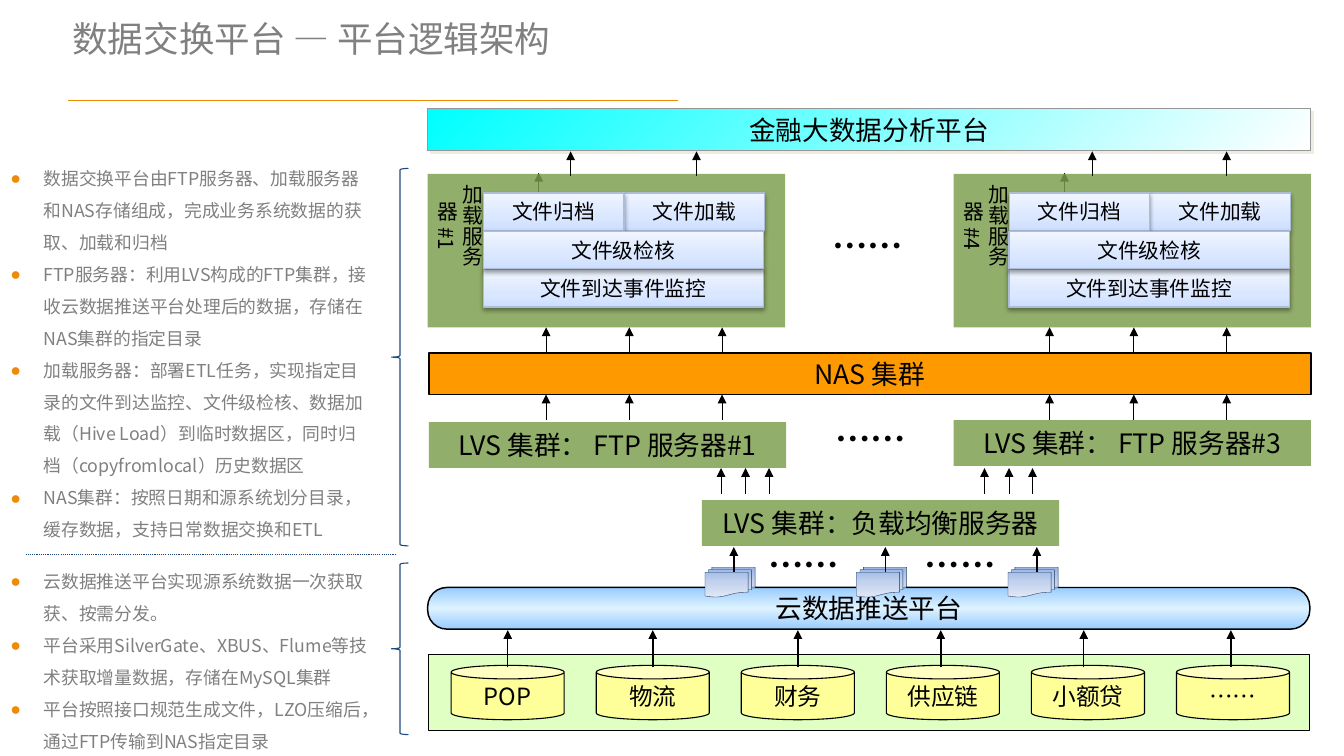
from lxml.etree import SubElement
from pptx import Presentation
from pptx.dml.color import RGBColor
from pptx.enum.dml import MSO_LINE
from pptx.enum.shapes import MSO_CONNECTOR, MSO_SHAPE as SHAPE
from pptx.enum.text import MSO_ANCHOR as ANCHOR, PP_ALIGN as ALIGN
from pptx.oxml.ns import qn
from pptx.util import Inches, Pt

FONT = "Noto Sans CJK SC"
BLACK, GRAY, ORANGE, NAVY = "000000", "808080", "EE8A04", "1F497D"
GREEN = "7D9E4D"
SKY = [(0, "99CCFF"), (50, "DDF2FF"), (100, "99CCFF")]
PAPER = [(0, "9AB5E4"), (50, "C2D1ED"), (100, "E1E8F5")]
TILE = [(0, "CCDEFF"), (35, "DAE7FF"), (100, "F0F5FF")]
CYAN = [(0, "00FFFF"), (100, "FFFFFF")]
SERVER_STEP = 4.93

EXCHANGE_NOTES = [
    "数据交换平台由FTP服务器、加载服务器和NAS存储组成，完成业务系统数据的获取、加载和归档",
    "FTP服务器：利用LVS构成的FTP集群，接收云数据推送平台处理后的数据，存储在NAS集群的指定目录",
    "加载服务器：部署ETL任务，实现指定目录的文件到达监控、文件级检核、数据加载"
    "（Hive Load）到临时数据区，同时归档（copyfromlocal）历史数据区",
    "NAS集群：按照日期和源系统划分目录，缓存数据，支持日常数据交换和ETL",
]
PUSH_NOTES = [
    "云数据推送平台实现源系统数据一次获取获、按需分发。",
    "平台采用SilverGate、XBUS、Flume等技术获取增量数据，存储在MySQL集群",
    "平台按照接口规范生成文件，LZO压缩后，通过FTP传输到NAS指定目录",
]
SOURCES = ["POP", "物流", "财务", "供应链", "小额贷", "……"]


def color(value):
    return RGBColor.from_string(value)


def child(parent, tag, **attributes):
    return SubElement(parent, qn(tag), {k: str(v) for k, v in attributes.items()})


def write(para, text, size, ink=BLACK, bold=False):
    span = para.add_run()
    span.text = text
    for name, value in {"name": FONT, "size": Pt(size), "bold": bold}.items():
        setattr(span.font, name, value)
    span.font.color.rgb = color(ink)
    child(span.font._element, "a:ea", typeface=FONT)


def set_frame(box, **formats):
    for name, value in formats.items():
        setattr(box.text_frame, name, value)


def set_gradient(shape, stops, angle):
    shape.fill.gradient()
    shape.fill.gradient_angle = 0
    gradient = shape._element.spPr.find(qn("a:gradFill"))
    stop_list = gradient.find(qn("a:gsLst"))
    for stop in list(stop_list):
        stop_list.remove(stop)
    for position, value in stops:
        stop = child(stop_list, "a:gs", pos=position * 1000)
        child(stop, "a:srgbClr", val=value)
    gradient.find(qn("a:lin")).set("ang", str(angle * 60000))


def set_shadow(shape, value, alpha, blur, distance, angle):
    effects = shape._element.spPr.find(qn("a:effectLst"))
    shadow = child(effects, "a:outerShdw", blurRad=Pt(blur), dist=Pt(distance),
                   dir=angle * 60000, algn="ctr", rotWithShape=0)
    child(child(shadow, "a:srgbClr", val=value), "a:alpha", val=alpha * 1000)


def add_block(page, kind, at, fill=None, line=None, width=0.75, text="", size=18, angle=90):
    shape = page.shapes.add_shape(kind, *map(Inches, at))
    shape.shadow.inherit = False
    if isinstance(fill, list):
        set_gradient(shape, fill, angle)
    elif fill:
        shape.fill.solid()
        shape.fill.fore_color.rgb = color(fill)
    else:
        shape.fill.background()
    if line:
        shape.line.color.rgb = color(line)
        shape.line.width = Pt(width)
    else:
        shape.line.fill.background()
    if text:
        set_frame(shape, vertical_anchor=ANCHOR.MIDDLE, word_wrap=False)
        para = shape.text_frame.paragraphs[0]
        para.alignment = ALIGN.CENTER
        write(para, text, size)
    return shape


def add_green(page, at, text=""):
    shape = add_block(page, SHAPE.RECTANGLE, at, GREEN, text=text)
    fill = shape._element.spPr.find(qn("a:solidFill"))
    child(fill[0], "a:alpha", val=83000)


def add_line(page, start, end, ink=BLACK, width=0.75):
    line = page.shapes.add_connector(MSO_CONNECTOR.STRAIGHT, *map(Inches, start + end))
    line.line.color.rgb = color(ink)
    line.line.width = Pt(width)
    child(line._element.spPr, "a:effectLst")
    return line


def add_arrows(page, columns, bottom, top, width=0.75):
    for x in columns:
        arrow = add_line(page, (x, bottom), (x, top), width=width)
        child(arrow.line._get_or_add_ln(), "a:tailEnd", type="triangle")


def add_label(page, at, text, size, ink=BLACK, bold=False, align=ALIGN.CENTER, **formats):
    box = page.shapes.add_textbox(*map(Inches, at))
    set_frame(box, **{"word_wrap": True, "vertical_anchor": ANCHOR.MIDDLE, **formats})
    para = box.text_frame.paragraphs[0]
    para.alignment = align
    write(para, text, size, ink, bold)
    return box


def add_notes(page, at, notes):
    box = page.shapes.add_textbox(*map(Inches, at))
    set_frame(box, word_wrap=True)
    for index, note in enumerate(notes):
        para = box.text_frame.add_paragraph() if index else box.text_frame.paragraphs[0]
        para.line_spacing = Pt(21.6)
        layout = para._element.get_or_add_pPr()
        layout.set("marL", str(Inches(0.31)))
        layout.set("indent", str(-Inches(0.31)))
        child(child(layout, "a:buClr"), "a:srgbClr", val=ORANGE)
        child(layout, "a:buFont", typeface="Arial")
        child(layout, "a:buChar", char="●")
        write(para, note, 12, GRAY)


def add_load_server(page, left, name):
    add_arrows(page, [left + 1.04], 2.02, 1.62, 1)
    add_green(page, (left, 1.63, 3.35, 1.44))
    label = add_label(page, (left + 0.08, 1.63, 0.44, 1.16), name, 14)
    label.text_frame._txBody.bodyPr.set("vert", "eaVert")
    tiles = [("文件加载", 1.84, 1.81, 1.32), ("文件归档", 0.52, 1.81, 1.32),
             ("文件到达事件监控", 0.52, 2.53, 2.63), ("文件级检核", 0.52, 2.17, 2.63)]
    for text, x, y, width in tiles:
        tile = add_block(page, SHAPE.RECTANGLE, (left + x, y, width, 0.35), TILE,
                         "ADBCD7", text=text, size=14, angle=270)
        set_shadow(tile, BLACK, 38, 3.1, 1.6, 90)


def main():
    deck = Presentation()
    deck.slide_width, deck.slide_height = Inches(12.6), Inches(7.09)
    page = deck.slides.add_slide(deck.slide_layouts[6])

    # Title and rule
    add_label(page, (0.58, 0.16, 8.89, 0.41), "数据交换平台 — 平台逻辑架构", 24, GRAY,
              align=ALIGN.LEFT, vertical_anchor=ANCHOR.TOP, margin_top=0, margin_bottom=0)
    add_line(page, (0.64, 0.94), (6.36, 0.94), ORANGE)

    # Notes with braces
    add_notes(page, (0, 1.42, 3.6, 3.62), EXCHANGE_NOTES)
    add_notes(page, (0, 5.2, 3.63, 1.73), PUSH_NOTES)
    for top, height in [(1.58, 3.54), (5.28, 1.61)]:
        add_block(page, SHAPE.LEFT_BRACE, (3.67, top, 0.16, height), line=NAVY)
    divider = add_line(page, (0.24, 5.2), (3.71, 5.2), NAVY)
    divider.line.dash_style = MSO_LINE.ROUND_DOT

    # Source systems
    add_block(page, SHAPE.RECTANGLE, (4.02, 6.14, 8.26, 0.71), "E0FFC2", BLACK)
    for index, source in enumerate(SOURCES):
        add_block(page, SHAPE.CAN, (4.23 + 1.36 * index, 6.24, 1.06, 0.51),
                  "FFFF99", BLACK, text=source, size=16)

    # Platform bars
    analysis = add_block(page, SHAPE.RECTANGLE, (4.01, 1.02, 8.28, 0.39), CYAN, "969696",
                         text="金融大数据分析平台", angle=45)
    set_shadow(analysis, "EEECE1", 100, 0, 2.8, 45)
    add_block(page, SHAPE.RECTANGLE, (4.02, 3.31, 8.27, 0.39), "FF9900", BLACK, 1, "NAS 集群")
    push = add_block(page, SHAPE.ROUNDED_RECTANGLE, (4.01, 5.51, 8.27, 0.39), SKY, BLACK, 1,
                     "云数据推送平台")
    push.adjustments[0] = 0.46
    add_arrows(page, [4.76, 6.12, 7.48, 8.82, 10.16, 11.54], 6.26, 5.91, 1)

    # Files sent to the load balancer
    for index in range(3):
        left = 6.61 + 1.42 * index
        add_block(page, SHAPE.FLOWCHART_MULTIDOCUMENT, (left, 5.32, 0.47, 0.28),
                  PAPER, "17375E", 0.25)
        add_arrows(page, [left + 0.27], 5.36, 5.13, 1)

    # Load servers
    add_load_server(page, 4.01, "加载服务器 #1")
    add_load_server(page, 4.01 + SERVER_STEP, "加载服务器 #4")
    add_arrows(page, [5.35, 6.53, 10.24, 11.5], 1.65, 1.42)

    # LVS clusters
    add_green(page, (4.02, 3.96, 3.35, 0.43), "LVS 集群： FTP 服务器#1")
    add_green(page, (8.94, 3.94, 3.35, 0.43), "LVS 集群： FTP 服务器#3")
    add_green(page, (6.58, 4.69, 3.35, 0.43), "LVS 集群：负载均衡服务器")
    for bottom, top in [(3.31, 3.07), (3.94, 3.7)]:
        add_arrows(page, [5.12, 5.9, 6.77, 9.84, 10.63, 11.5], bottom, top)
    add_arrows(page, [6.76, 6.99, 7.21, 9.23, 9.46, 9.68], 4.63, 4.39)

    # Ellipses between repeated parts
    for left, top in [(7.48, 2.05), (7.51, 3.86), (6.88, 5.04), (8.35, 5.04)]:
        add_label(page, (left, top, 1.31, 0.5), "……", 24, bold=True)

    deck.save("out.pptx")


if __name__ == "__main__":
    main()
